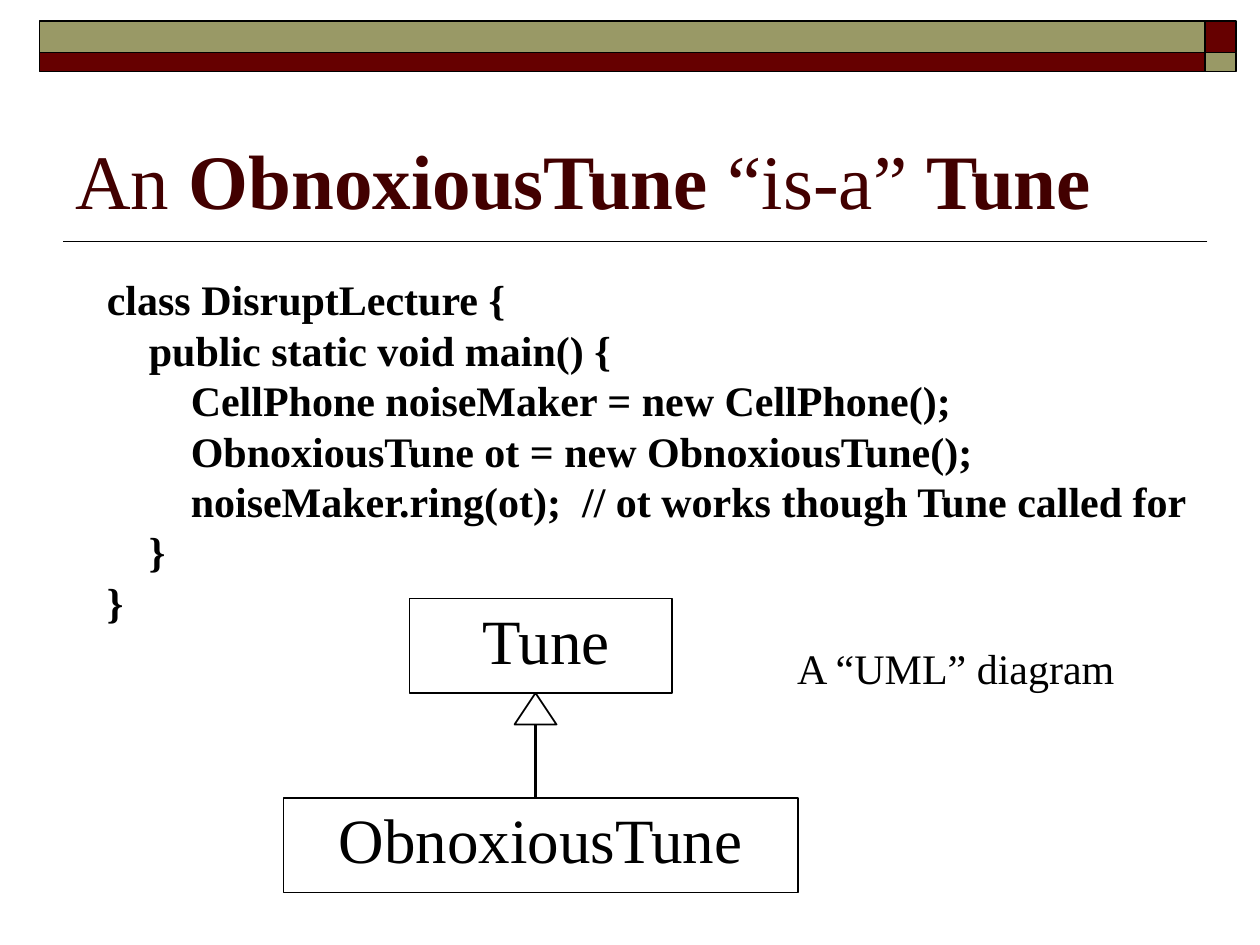
from pptx import Presentation
from pptx.dml.color import RGBColor
from pptx.enum.shapes import MSO_CONNECTOR, MSO_SHAPE
from pptx.enum.text import MSO_ANCHOR, MSO_AUTO_SIZE
from pptx.oxml.ns import qn
from pptx.util import Pt

BLACK = RGBColor(0x00, 0x00, 0x00)
MAROON = RGBColor(0x66, 0x00, 0x00)
OLIVE = RGBColor(0x99, 0x99, 0x66)
TITLE_COLOR = RGBColor(0x42, 0x00, 0x00)
FONT = "Times New Roman"

CODE = [
    "class DisruptLecture {",
    "    public static void main() {",
    "        CellPhone noiseMaker = new CellPhone();",
    "        ObnoxiousTune ot = new ObnoxiousTune();",
    "        noiseMaker.ring(ot);  // ot works though Tune called for",
    "    }",
    "}",
]


def add_outline(s, kind, x, y, w, h, fill=None):
    sp = s.shapes.add_shape(kind, Pt(x), Pt(y), Pt(w), Pt(h))
    sp.shadow.inherit = False
    if fill is None:
        sp.fill.background()
    else:
        sp.fill.solid()
        sp.fill.fore_color.rgb = fill
    sp.line.color.rgb = BLACK
    sp.line.width = Pt(1)


def add_line(s, x1, y1, x2, y2, width):
    line = s.shapes.add_connector(
        MSO_CONNECTOR.STRAIGHT, Pt(x1), Pt(y1), Pt(x2), Pt(y2))
    line.line.color.rgb = BLACK
    line.line.width = Pt(width)
    line._element.spPr.append(line._element.makeelement(qn("a:effectLst"), {}))


def add_run(p, text, size, color=BLACK, bold=False):
    r = p.add_run()
    r.text = text
    r.font.name = FONT
    r.font.size = Pt(size)
    r.font.color.rgb = color
    r.font.bold = bold


def add_box(s, x, y, w, h, wrap=True):
    tf = s.shapes.add_textbox(Pt(x), Pt(y), Pt(w), Pt(h)).text_frame
    tf.word_wrap = wrap
    return tf


def add_label(s, text, x, y, w, h, size):
    tf = add_box(s, x, y, w, h, wrap=False)
    tf.auto_size = MSO_AUTO_SIZE.SHAPE_TO_FIT_TEXT
    add_run(tf.paragraphs[0], text, size)


def add_header(s):
    add_line(s, 690, 138, 36, 138, 1)
    for y, h, wide, narrow in ((12, 18, OLIVE, MAROON), (30, 11, MAROON, OLIVE)):
        add_outline(s, MSO_SHAPE.RECTANGLE, 22.5, y, 666, h, wide)
        add_outline(s, MSO_SHAPE.RECTANGLE, 688.5, y, 18, h, narrow)


def add_title(s):
    tf = add_box(s, 36, 42, 648, 90)
    tf.vertical_anchor = MSO_ANCHOR.BOTTOM
    p = tf.paragraphs[0]
    for text, bold in (("An", False), (" ObnoxiousTune", True),
                       (" “is-a” ", False), ("Tune", True)):
        add_run(p, text, 44, TITLE_COLOR, bold)


def add_code(s):
    tf = add_box(s, 54, 153, 648, 351)
    for i, text in enumerate(CODE):
        p = tf.add_paragraph() if i else tf.paragraphs[0]
        p.line_spacing = Pt(28.8)
        add_run(p, text, 24, bold=True)


def add_diagram(s):
    add_outline(s, MSO_SHAPE.RECTANGLE, 234, 342, 150, 54)
    add_outline(s, MSO_SHAPE.RECTANGLE, 162, 456, 294, 54)
    add_label(s, "Tune", 268.5, 340, 88, 50.4, 36)
    add_label(s, "ObnoxiousTune", 186.5, 454, 246, 50.4, 36)
    add_outline(s, MSO_SHAPE.ISOSCELES_TRIANGLE, 294, 396, 24, 18)
    add_line(s, 306, 414, 306, 456, 1.5)
    add_label(s, "A “UML” diagram", 448.5, 363.5, 196.5, 36, 24)


def main():
    prs = Presentation()
    prs.slide_width, prs.slide_height = Pt(720), Pt(540)
    s = prs.slides.add_slide(prs.slide_layouts[6])
    add_header(s)
    add_title(s)
    add_code(s)
    add_diagram(s)
    prs.save("out.pptx")


if __name__ == "__main__":
    main()
